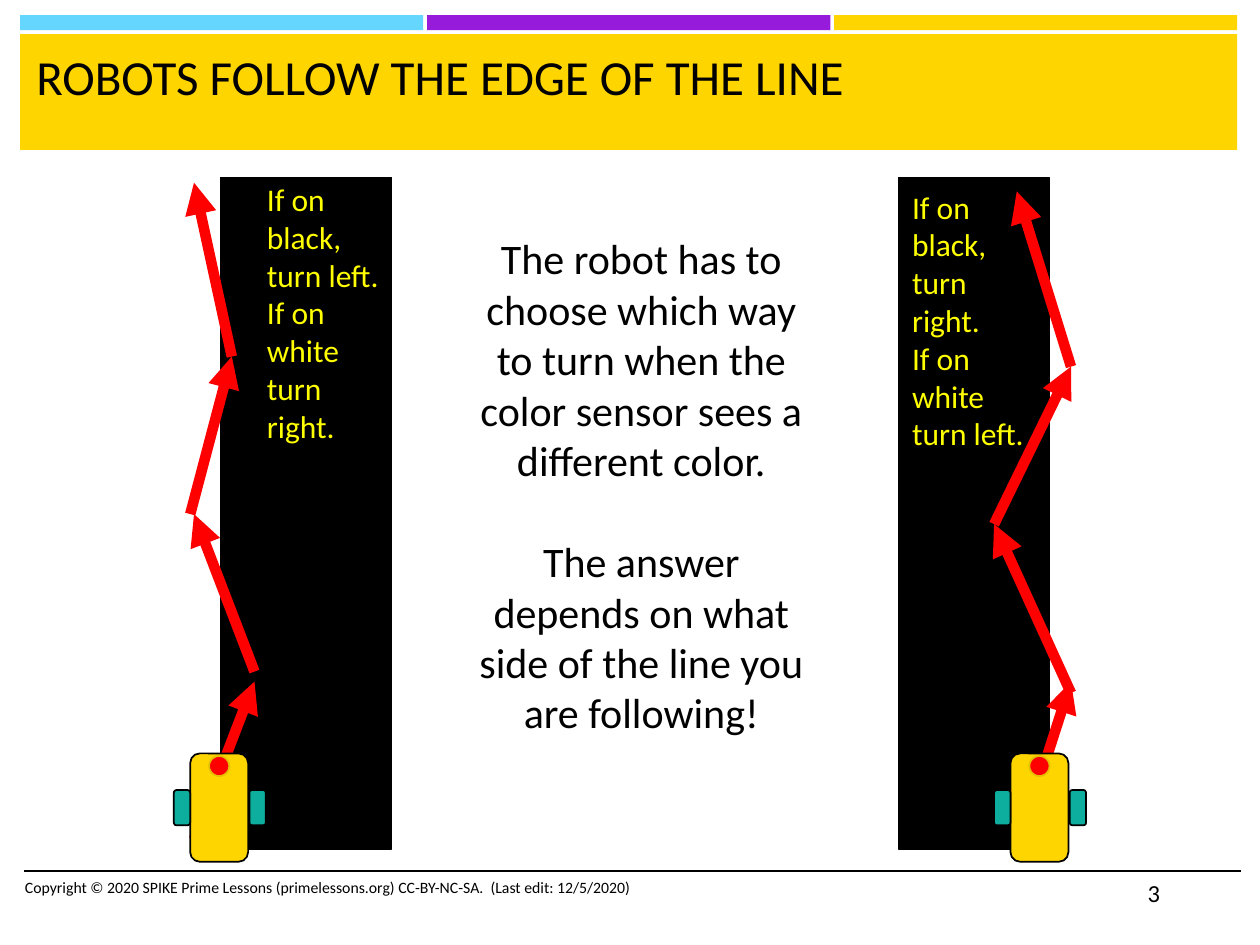
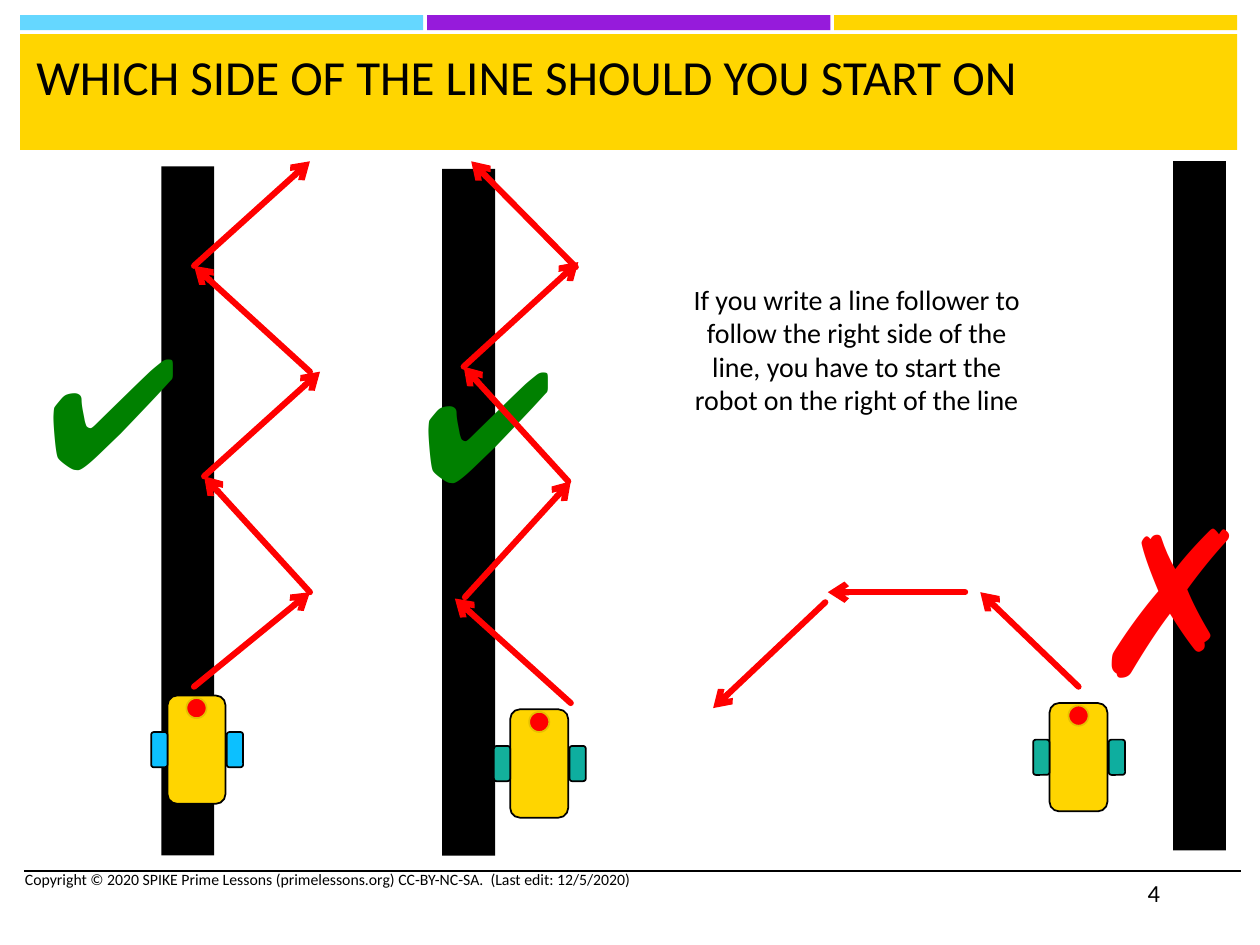
from itertools import pairwise

from lxml.etree import SubElement
from pptx import Presentation
from pptx.dml.color import RGBColor
from pptx.enum.shapes import MSO_CONNECTOR, MSO_SHAPE
from pptx.enum.text import PP_ALIGN
from pptx.oxml.ns import qn
from pptx.util import Emu, Pt

EMU_PER_PX = 9144
BLACK, RED, GREEN = "000000", "FF0000", "008000"
GOLD, DARK_GOLD, YELLOW = "FFD500", "E6C000", "FFFF00"
SKY, PURPLE = "65D7FF", "961BDB"
TEAL, SEA_GREEN, BLUE = "0EAE9F", "13B09B", "0CC0FF"
COPYRIGHT = ("Copyright © 2020 SPIKE Prime Lessons (primelessons.org) CC-BY-NC-SA."
             "  (Last edit: 12/5/2020)")


def px(length):
    return Emu(length * EMU_PER_PX)


def color(value):
    return RGBColor.from_string(value)


class Deck:
    font = "Calibri"

    def __init__(self):
        self.presentation = Presentation()
        self.presentation.slide_width = px(1000)
        self.presentation.slide_height = px(750)
        self.slide = None

    def add_slide(self, title, number, footer_top):
        layout = self.presentation.slide_layouts[6]
        self.slide = self.presentation.slides.add_slide(layout)
        for index, fill in enumerate((SKY, PURPLE, GOLD)):
            self.shape(16 + 323 * index, 12, 320, 12, fill)
        self.shape(16, 27, 966, 92, GOLD)
        self.line((19, 691), (985, 691), BLACK, 1)
        self.text(19, 32, 957, 82, [title], 28)
        self.text(10, footer_top, 533, 40, [COPYRIGHT], 9)
        self.text(901, 692, 84, 40, [str(number)], 14)

    def shape(self, left, top, width, height, fill, outline=None, weight=1,
              kind=MSO_SHAPE.RECTANGLE):
        shape = self.slide.shapes.add_shape(
            kind, px(left), px(top), px(width), px(height))
        shape.shadow.inherit = False
        shape.fill.solid()
        shape.fill.fore_color.rgb = color(fill)
        if outline:
            shape.line.color.rgb = color(outline)
            shape.line.width = Pt(weight)
        else:
            shape.line.fill.background()

    def line(self, start, end, stroke, weight, head=None, cap="flat"):
        connector = self.slide.shapes.add_connector(
            MSO_CONNECTOR.STRAIGHT, *map(px, start + end))
        connector.line.color.rgb = color(stroke)
        connector.line.width = Pt(weight)
        properties = connector.element.spPr
        outline = properties.find(qn("a:ln"))
        outline.set("cap", cap)
        if head:
            SubElement(outline, qn("a:tailEnd"), type=head)
        SubElement(properties, qn("a:effectLst"))

    def bold_route(self, *points):
        for start, end in pairwise(points):
            self.line(start, end, RED, 6, "triangle")

    def open_route(self, *points):
        for start, end in pairwise(points):
            self.line(start, end, RED, 3.5, "arrow", "rnd")

    def text(self, left, top, width, height, lines, size, fill=BLACK,
             align=PP_ALIGN.LEFT, gap=0, font=None):
        box = self.slide.shapes.add_textbox(
            px(left), px(top), px(width), px(height))
        text_frame = box.text_frame
        text_frame.word_wrap = True
        text_frame.text = "\n".join(lines)
        for index, paragraph in enumerate(text_frame.paragraphs):
            paragraph.alignment = align
            if index and gap:
                paragraph.space_before = Pt(gap)
            for run in paragraph.runs:
                run.font.name = font or self.font
                run.font.size = Pt(size)
                run.font.color.rgb = color(fill)

    def mark(self, left, top, height, symbol, size, fill):
        self.text(left, top, 107, height, [symbol], size, fill, font="Arial")

    def robot(self, left, top, left_wheel, right_wheel):
        rounded = MSO_SHAPE.ROUNDED_RECTANGLE
        self.shape(left, top, 46, 86, GOLD, BLACK, kind=rounded)
        for offset, fill in ((47, right_wheel), (-13, left_wheel)):
            self.shape(left + offset, top + 29, 13, 28, fill, BLACK, kind=rounded)
        self.shape(left + 15, top + 2, 16, 16, RED, DARK_GOLD, kind=MSO_SHAPE.OVAL)


def build_edge_slide(deck):
    deck.add_slide("ROBOTS FOLLOW THE EDGE OF THE LINE", 3, 692)
    deck.shape(175, 141, 136, 533, BLACK, BLACK, 0.75)
    deck.bold_route((154, 666), (202, 541))
    deck.bold_route((202, 533), (154, 408))
    deck.bold_route((151, 408), (184, 283), (154, 145))
    deck.shape(713, 141, 120, 533, BLACK, BLACK, 0.75)
    deck.bold_route((807, 675), (850, 541))
    deck.bold_route((850, 550), (789, 416), (850, 291), (807, 152))
    deck.text(365, 180, 288, 454, [
        "The robot has to choose which way to turn when the color sensor sees "
        "a different color.",
        "The answer depends on what side of the line you are following!",
    ], 24, align=PP_ALIGN.CENTER, gap=29)
    for left, top, on_black, on_white in ((202, 138, "left", "right"),
                                          (714, 144, "right", "left")):
        deck.text(left, top, 115, 222, [f"If on black, turn {on_black}.",
                                        f"If on white turn {on_white}."], 18, YELLOW)
    for left in (151, 802):
        deck.robot(left, 598, TEAL, TEAL)


def build_side_slide(deck):
    deck.add_slide("WHICH SIDE OF THE LINE SHOULD YOU START ON", 4, 685)
    deck.shape(128, 132, 42, 547, BLACK)
    deck.open_route((154, 545), (246, 470), (162, 378), (254, 295))
    deck.open_route((246, 295), (154, 211), (246, 128))
    deck.shape(351, 134, 42, 545, BLACK)
    deck.open_route((457, 212), (374, 128))
    deck.open_route((369, 474), (453, 382))
    deck.open_route((453, 558), (361, 475))
    deck.open_route((368, 291), (459, 208))
    deck.shape(931, 128, 42, 547, BLACK)
    deck.open_route((655, 478), (566, 562))
    deck.open_route((766, 470), (657, 470))
    deck.open_route((856, 545), (778, 470))
    deck.mark(325, 255, 158, "✔", 88, GREEN)
    deck.mark(854, 372, 204, "✗", 115, RED)
    deck.mark(27, 245, 158, "✔", 88, GREEN)
    deck.robot(133, 552, BLUE, BLUE)
    deck.robot(405, 563, SEA_GREEN, TEAL)
    deck.robot(833, 558, SEA_GREEN, TEAL)
    deck.open_route((451, 382), (368, 291))
    deck.text(536, 219, 288, 118, [
        "If you write a line follower to follow the right side of the line, "
        "you have to start the robot on the right of the line",
    ], 16, align=PP_ALIGN.CENTER)


def main():
    deck = Deck()
    build_edge_slide(deck)
    build_side_slide(deck)
    deck.presentation.save("out.pptx")


if __name__ == "__main__":
    main()
